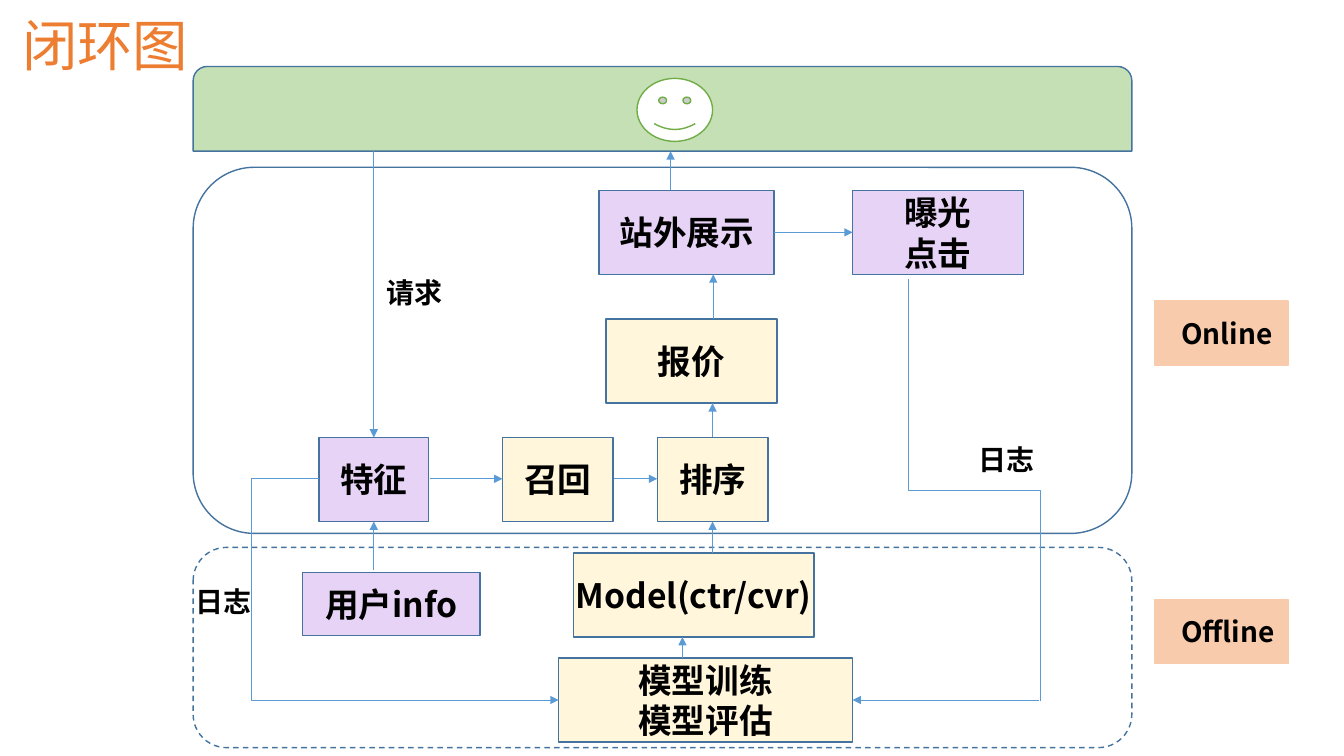
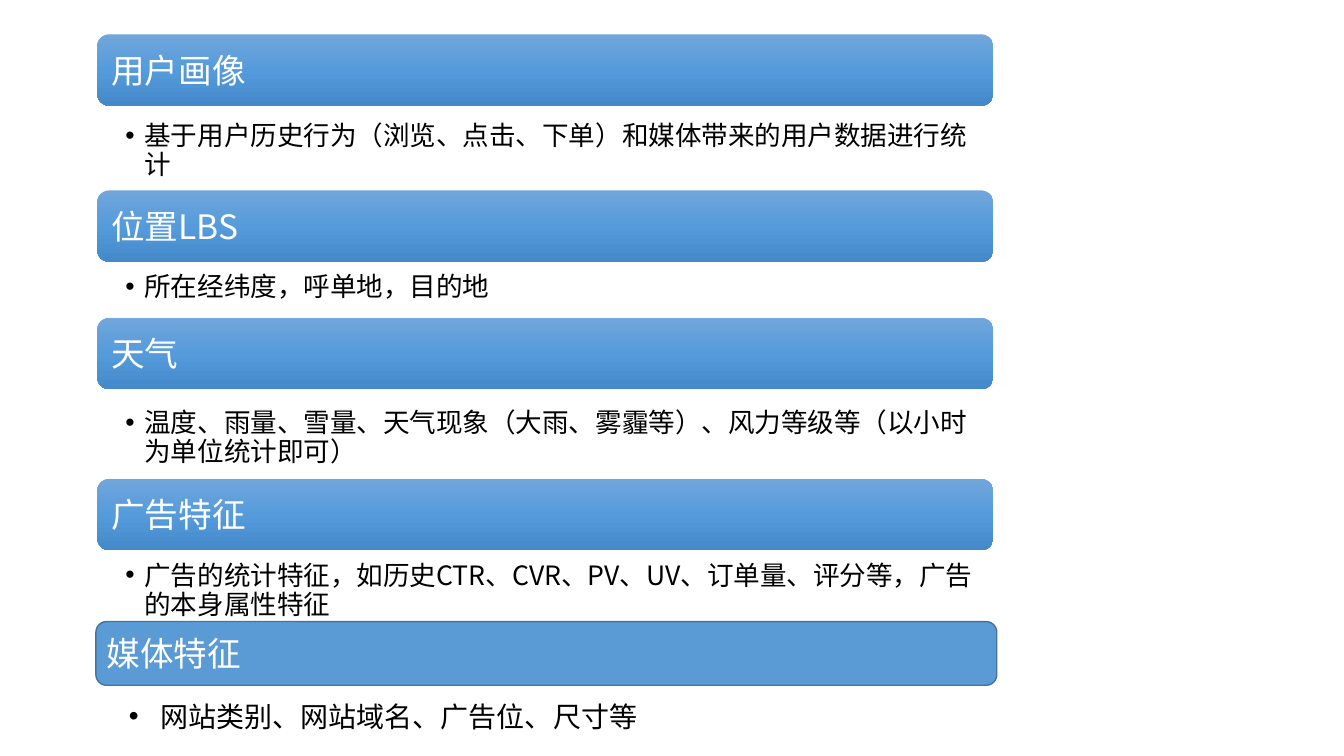
import pptx
import pptx.dml.color
import pptx.enum.dml
import pptx.enum.shapes
import pptx.enum.text
import pptx.oxml.ns
import pptx.util
from lxml import etree

Pt = pptx.util.Pt
RGBColor = pptx.dml.color.RGBColor
SHAPE = pptx.enum.shapes.MSO_SHAPE
CONNECTOR = pptx.enum.shapes.MSO_CONNECTOR
ALIGN = pptx.enum.text.PP_ALIGN
ANCHOR = pptx.enum.text.MSO_ANCHOR
qn = pptx.oxml.ns.qn

# Shared style
FONT = "Noto Sans CJK SC"
LINE_FACTOR = 1.2
BLACK = RGBColor(0x00, 0x00, 0x00)
WHITE = RGBColor(0xFF, 0xFF, 0xFF)
ORANGE = RGBColor(0xED, 0x7D, 0x31)
OUTLINE = RGBColor(0x43, 0x73, 0x9E)
BLUE = RGBColor(0x5B, 0x9B, 0xD5)
PURPLE = RGBColor(0x98, 0x44, 0xD9)
YELLOW = RGBColor(0xFF, 0xD9, 0x66)
LIGHT_GREEN = RGBColor(0xC5, 0xE0, 0xB4)
GREEN = RGBColor(0x70, 0xAD, 0x47)
PEACH = RGBColor(0xF8, 0xCB, 0xAD)
BAR_STOPS = ((0, RGBColor(0x71, 0xA6, 0xDB)),
             (50, RGBColor(0x55, 0x9B, 0xDB)),
             (100, RGBColor(0x44, 0x8A, 0xCA)))

# Closed loop: text, left, top, width, height
DATA_BOXES = (
    ("站外展示", 428, 136, 125, 60),
    ("曝光\n点击", 609, 136, 122, 60),
    ("特征", 228, 312.5, 78, 60),
    ("用户info", 216, 409, 127, 45),
)
MODEL_BOXES = (
    ("报价", 433, 228, 122, 60),
    ("召回", 359, 312.5, 79, 60),
    ("排序", 469.5, 312.5, 79, 60),
    ("Model(ctr/cvr)", 409.5, 395, 172, 60),
    ("模型训练\n模型评估", 399, 470, 210, 60),
)
ARROWS = (
    ((267, 108), (267, 312.5)),
    ((267, 407), (267, 372.5)),
    ((307, 342), (359, 342)),
    ((438.5, 342), (469.5, 342)),
    ((509, 312.5), (509, 288)),
    ((509.5, 228), (509.5, 196)),
    ((553, 166), (609, 166)),
    ((479, 136), (479, 108)),
    ((487.5, 470), (487.5, 455)),
    ((509, 395), (509, 372.5)),
    ((742, 500), (609, 500)),
)
LABELS = (("日志", 132.5, 414), ("请求", 269, 193), ("日志", 692, 312.5))
STAGES = (("Online", 215), ("Offline", 428))

# Features: heading, bar top, description, description top
FEATURES = (
    ("用户画像", 24.5, "基于用户历史行为（浏览、点击、下单）和媒体带来的用户数据进行统计", 85),
    ("位置LBS", 136, "所在经纬度，呼单地，目的地", 193),
    ("天气", 227, "温度、雨量、雪量、天气现象（大雨、雾霾等）、风力等级等（以小时为单位统计即可）", 290),
    ("广告特征", 342, "广告的统计特征，如历史CTR、CVR、PV、UV、订单量、评分等，广告的本身属性特征", 399),
)
BAR_LEFT, BAR_WIDTH, BAR_HEIGHT = 69.5, 640, 51


def write_text(frame, text, size=24, color=BLACK, bold=False, align=ALIGN.LEFT,
               anchor=ANCHOR.TOP, insets=(7.2, 3.6, 7.2, 3.6), wrap=True,
               hanging=0, line_factor=LINE_FACTOR):
    """Fill a text frame, one paragraph a line; hanging makes a bullet list."""
    frame.auto_size = pptx.enum.text.MSO_AUTO_SIZE.NONE
    frame.word_wrap = wrap
    frame.vertical_anchor = anchor
    (frame.margin_left, frame.margin_top,
     frame.margin_right, frame.margin_bottom) = map(Pt, insets)
    for index, line in enumerate(text.split("\n")):
        para = frame.add_paragraph() if index else frame.paragraphs[0]
        para.alignment = align
        para.space_before = Pt(0)
        para.line_spacing = Pt(round(size * line_factor, 1))
        if hanging:
            add_bullet(para, hanging)
        span = para.add_run()
        span.text = line
        span.font.size = Pt(size)
        span.font.bold = bold
        span.font.color.rgb = color
        span.font.name = FONT
        east_asian = etree.SubElement(span.font._element, qn("a:ea"))
        east_asian.set("typeface", FONT)


def add_bullet(para, hanging):
    properties = para._p.get_or_add_pPr()
    properties.set("marL", str(Pt(hanging)))
    properties.set("indent", str(-Pt(hanging)))
    etree.SubElement(properties, qn("a:buFont")).set("typeface", "Arial")
    etree.SubElement(properties, qn("a:buChar")).set("char", "•")


def add_text(slide, text, left, top, width, height, **style):
    box = slide.shapes.add_textbox(Pt(left), Pt(top), Pt(width), Pt(height))
    write_text(box.text_frame, text, **style)


def add_box(slide, kind, left, top, width, height, fill=None, line=OUTLINE, opacity=100):
    box = slide.shapes.add_shape(kind, Pt(left), Pt(top), Pt(width), Pt(height))
    box.shadow.inherit = False
    if fill is None:
        box.fill.background()
    else:
        box.fill.solid()
        box.fill.fore_color.rgb = fill
    if opacity < 100:
        color = box._element.spPr.find(qn("a:solidFill")).find(qn("a:srgbClr"))
        etree.SubElement(color, qn("a:alpha")).set("val", str(opacity * 1000))
    if line is None:
        box.line.fill.background()
    else:
        box.line.color.rgb = line
        box.line.width = Pt(1)
    return box


def add_flow_boxes(slide, rows, fill):
    for text, *place in rows:
        box = add_box(slide, SHAPE.RECTANGLE, *place, fill=fill, opacity=23)
        write_text(box.text_frame, text, bold=True, align=ALIGN.CENTER,
                   anchor=ANCHOR.MIDDLE, insets=(0, 0, 0, 0), wrap=False)


def add_line(slide, start, end, kind=CONNECTOR.STRAIGHT, head=True):
    line = slide.shapes.add_connector(kind, *map(Pt, start + end))
    line.line.color.rgb = BLUE
    line.line.width = Pt(0.5)
    if head:
        outline = line.line._get_or_add_ln()
        etree.SubElement(outline, qn("a:tailEnd")).set("type", "triangle")
    etree.SubElement(line._element.spPr, qn("a:effectLst"))
    return line


def add_side_elbow(slide, start, end, turn_x):
    """Run sideways to turn_x, then down, then sideways to the end."""
    elbow = add_line(slide, start, end, kind=CONNECTOR.ELBOW)
    share = (turn_x - start[0]) / (end[0] - start[0])
    geometry = elbow._element.spPr.find(qn("a:prstGeom"))
    guide = etree.SubElement(geometry.find(qn("a:avLst")), qn("a:gd"))
    guide.set("name", "adj1")
    guide.set("fmla", f"val {round(share * 100000)}")


def add_down_elbow(slide, start, end):
    """Run down, across halfway, and down again: a quarter-turned elbow."""
    middle_x, middle_y = (start[0] + end[0]) / 2, (start[1] + end[1]) / 2
    half_run, half_drop = (end[0] - start[0]) / 2, (end[1] - start[1]) / 2
    elbow = add_line(slide, (middle_x + half_drop, middle_y - half_run),
                     (middle_x - half_drop, middle_y + half_run),
                     kind=CONNECTOR.ELBOW, head=False)
    elbow._element.spPr.find(qn("a:xfrm")).set("rot", str(270 * 60000))


def add_heading_bar(slide, text, left, top, width, height, inset, **style):
    bar = add_box(slide, SHAPE.ROUNDED_RECTANGLE, left, top, width, height, **style)
    write_text(bar.text_frame, text, color=WHITE, anchor=ANCHOR.MIDDLE,
               insets=(inset, 0, 0, 0))
    return bar


def set_bar_gradient(bar):
    bar.fill.gradient()
    bar.fill.gradient_angle = 270
    stops = bar._element.spPr.find(qn("a:gradFill")).find(qn("a:gsLst"))
    for stop in list(stops):
        stops.remove(stop)
    for position, color in BAR_STOPS:
        stop = etree.SubElement(stops, qn("a:gs"))
        stop.set("pos", str(position * 1000))
        etree.SubElement(stop, qn("a:srgbClr")).set("val", str(color))


def build_closed_loop(deck):
    slide = deck.slides.add_slide(deck.slide_layouts[5])
    title = slide.shapes.title
    title.left, title.top, title.width, title.height = map(Pt, (8.6, 5, 828, 53))
    write_text(title.text_frame, "闭环图", size=39.6, color=ORANGE, anchor=ANCHOR.MIDDLE)

    # User band and the two zones
    add_box(slide, SHAPE.ROUND_2_SAME_RECTANGLE, 138, 47.5, 670.5, 60.5, fill=LIGHT_GREEN)
    add_box(slide, SHAPE.SMILEY_FACE, 455, 56, 54, 45, fill=WHITE, line=GREEN)
    add_box(slide, SHAPE.ROUNDED_RECTANGLE, 138, 119.5, 670.5, 261.5)
    offline = add_box(slide, SHAPE.ROUNDED_RECTANGLE, 138, 391, 670.5, 143)
    offline.line.dash_style = pptx.enum.dml.MSO_LINE.DASH

    # Flow
    add_flow_boxes(slide, DATA_BOXES, PURPLE)
    add_flow_boxes(slide, MODEL_BOXES, YELLOW)
    for start, end in ARROWS:
        add_line(slide, start, end)
    add_side_elbow(slide, (228, 342), (399, 500), turn_x=179.5)
    add_down_elbow(slide, (649, 199.5), (743.5, 500.5))

    # Labels
    for text, left, top in LABELS:
        add_text(slide, text, left, top, 62, 32, size=20, bold=True)
    for text, top in STAGES:
        tag = add_box(slide, SHAPE.RECTANGLE, 825, top, 95, 46, fill=PEACH, line=PEACH)
        write_text(tag.text_frame, text, size=20, bold=True, anchor=ANCHOR.MIDDLE,
                   insets=(18.7, 0, 0, 0), wrap=False)


def build_features(deck):
    slide = deck.slides.add_slide(deck.slide_layouts[6])
    for heading, bar_top, description, text_top in FEATURES:
        bar = add_heading_bar(slide, heading, BAR_LEFT, bar_top, BAR_WIDTH, BAR_HEIGHT,
                              inset=7.5, line=None)
        set_bar_gradient(bar)
        add_text(slide, description, BAR_LEFT, text_top, BAR_WIDTH, 46, size=19,
                 insets=(20, 2.2, 13.7, 2.2), hanging=13.7, line_factor=1.09)

    # Media features
    add_heading_bar(slide, "媒体特征", 68.5, 444, 643.5, 45.5, inset=5.5, fill=BLUE)
    add_text(slide, "网站类别、网站域名、广告位、尺寸等", 85, 496, 565, 32,
             size=20, hanging=22.5)


def main():
    deck = pptx.Presentation()
    deck.slide_width, deck.slide_height = Pt(960), Pt(540)
    build_closed_loop(deck)
    build_features(deck)
    deck.save("out.pptx")


if __name__ == "__main__":
    main()
